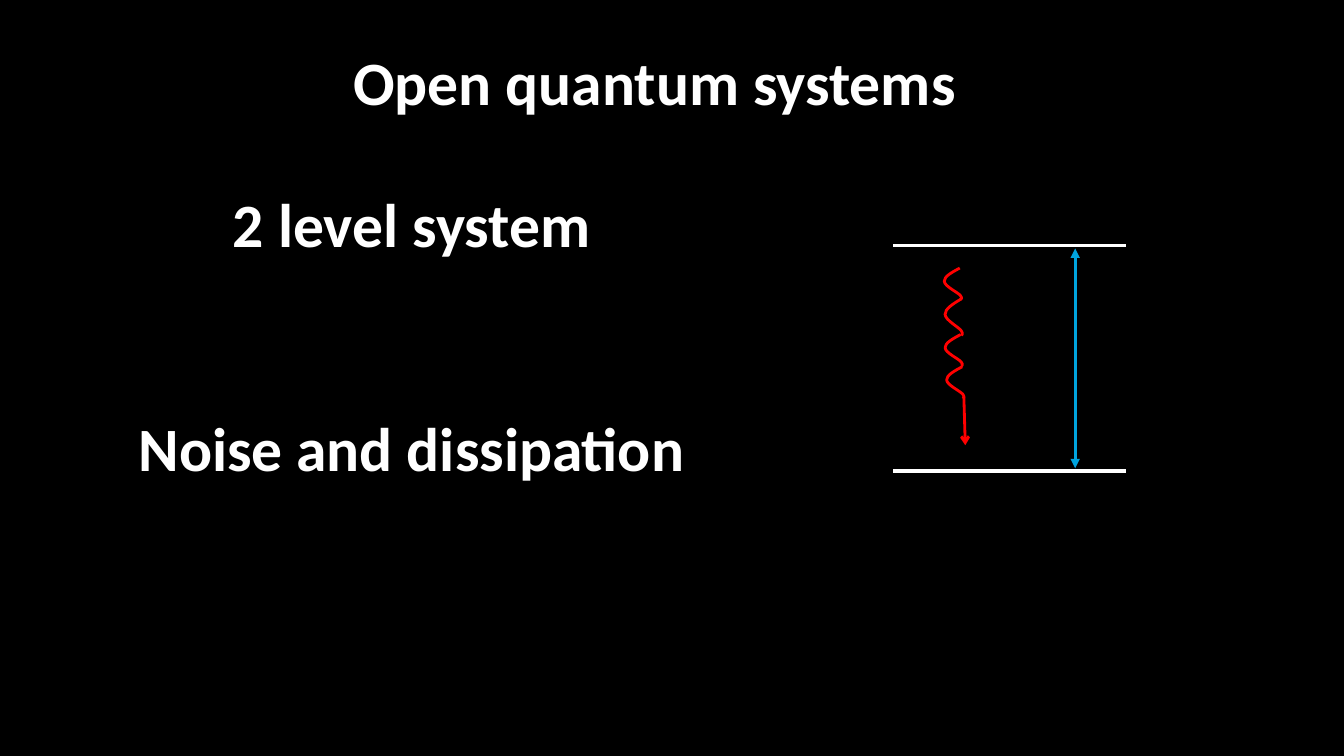
import lxml.etree
import pptx
import pptx.dml.color
import pptx.enum.shapes
import pptx.enum.text
import pptx.oxml.ns
import pptx.util

Pt = pptx.util.Pt
qn = pptx.oxml.ns.qn

COLOURS = {"background": "000000", "text": "FFFFFF", "level": "FFFFFF",
           "drive": "00A4DE", "decay": "FF0000"}

# One period of the decay wave: offsets from its start, the vertical ones
# as fractions of its height, in groups of three for each Bézier curve.
WAVE = [(-5.5, 0.13), (-11.3, 0.27), (-11.1, 0.42),
        (-10.9, 0.58), (-1.4, 0.77), (0.4, 0.87),
        (2.3, 0.97), (0.5, 1), (0.5, 1)]
# Start x, start y, height
WAVES = [(687.3, 262, 22.5), (686.2, 239, 22.5),
         (685.6, 191.5, 22.5), (686.2, 213.8, 25.8)]

LEVEL_LEFT, LEVEL_RIGHT = 638, 804.5
UPPER_LEVEL, LOWER_LEVEL = 175.5, 336.5
DRIVE_X = 768


def rgb(name):
    return pptx.dml.color.RGBColor.from_string(COLOURS[name])


def write(box, text, *, left, top, width=476.5, height=60.5, size=44,
          font="Calibri", bold=True, colour="text"):
    box.left, box.top, box.width, box.height = map(Pt, (left, top, width, height))
    frame = box.text_frame
    frame.word_wrap = True
    frame.auto_size = pptx.enum.text.MSO_AUTO_SIZE.SHAPE_TO_FIT_TEXT
    frame.vertical_anchor = pptx.enum.text.MSO_ANCHOR.TOP
    frame.text = text
    paragraph = frame.paragraphs[0]
    paragraph.alignment = pptx.enum.text.PP_ALIGN.CENTER
    run_font = paragraph.runs[0].font
    run_font.name, run_font.size, run_font.bold = font, Pt(size), bold
    run_font.color.rgb = rgb(colour)


def add_line(diagram, start, end, colour, width=2.25, head=None, tail=None):
    line = diagram.shapes.add_connector(
        pptx.enum.shapes.MSO_CONNECTOR.STRAIGHT, *map(Pt, (*start, *end)))
    line.line.color.rgb = rgb(colour)
    line.line.width = Pt(width)
    outline = line.line._get_or_add_ln()
    for tag, arrow in (("a:headEnd", head), ("a:tailEnd", tail)):
        if arrow:
            lxml.etree.SubElement(outline, qn(tag), type=arrow)
    lxml.etree.SubElement(line._element.spPr, qn("a:effectLst"))


def add_wave(diagram, x, y, height):
    builder = diagram.shapes.build_freeform(Pt(x), Pt(y))
    builder.add_line_segments(
        [(Pt(x + dx), Pt(y + part * height)) for dx, part in WAVE], close=False)
    wave = builder.convert_to_shape()
    wave.shadow.inherit = False
    wave.fill.background()
    wave.line.color.rgb = rgb("decay")
    wave.line.width = Pt(2)

    # Turn each three straight segments into one Bézier curve.
    outline = wave._element.find(".//" + qn("a:path"))
    segments = outline.findall(qn("a:lnTo"))
    for first in range(0, len(segments), 3):
        curve = lxml.etree.SubElement(outline, qn("a:cubicBezTo"))
        for segment in segments[first:first + 3]:
            curve.append(segment[0])
            outline.remove(segment)


def add_level_diagram(slide):
    diagram = slide.shapes.add_group_shape()
    add_line(diagram, (DRIVE_X, LOWER_LEVEL - 2), (DRIVE_X, UPPER_LEVEL + 2),
             "drive", head="triangle", tail="triangle")
    for level in (UPPER_LEVEL, LOWER_LEVEL):
        add_line(diagram, (LEVEL_LEFT, level), (LEVEL_RIGHT, level), "level")
    for x, y, height in WAVES:
        add_wave(diagram, x, y, height)
    add_line(diagram, (688.5, 283.5), (689.5, 318), "decay", width=2, tail="arrow")


def main():
    presentation = pptx.Presentation()
    presentation.slide_width, presentation.slide_height = Pt(960), Pt(540)
    slide = presentation.slides.add_slide(presentation.slide_layouts[5])
    slide.background.fill.solid()
    slide.background.fill.fore_color.rgb = rgb("background")

    add_level_diagram(slide)
    write(slide.shapes.title, "Open quantum systems ", left=234.5, top=28)
    for topic, top in (("2 level system", 129.5), ("Noise and dissipation", 289.5)):
        write(slide.shapes.add_textbox(0, 0, 0, 0), topic, left=56, top=top)

    presentation.save("out.pptx")


if __name__ == "__main__":
    main()
